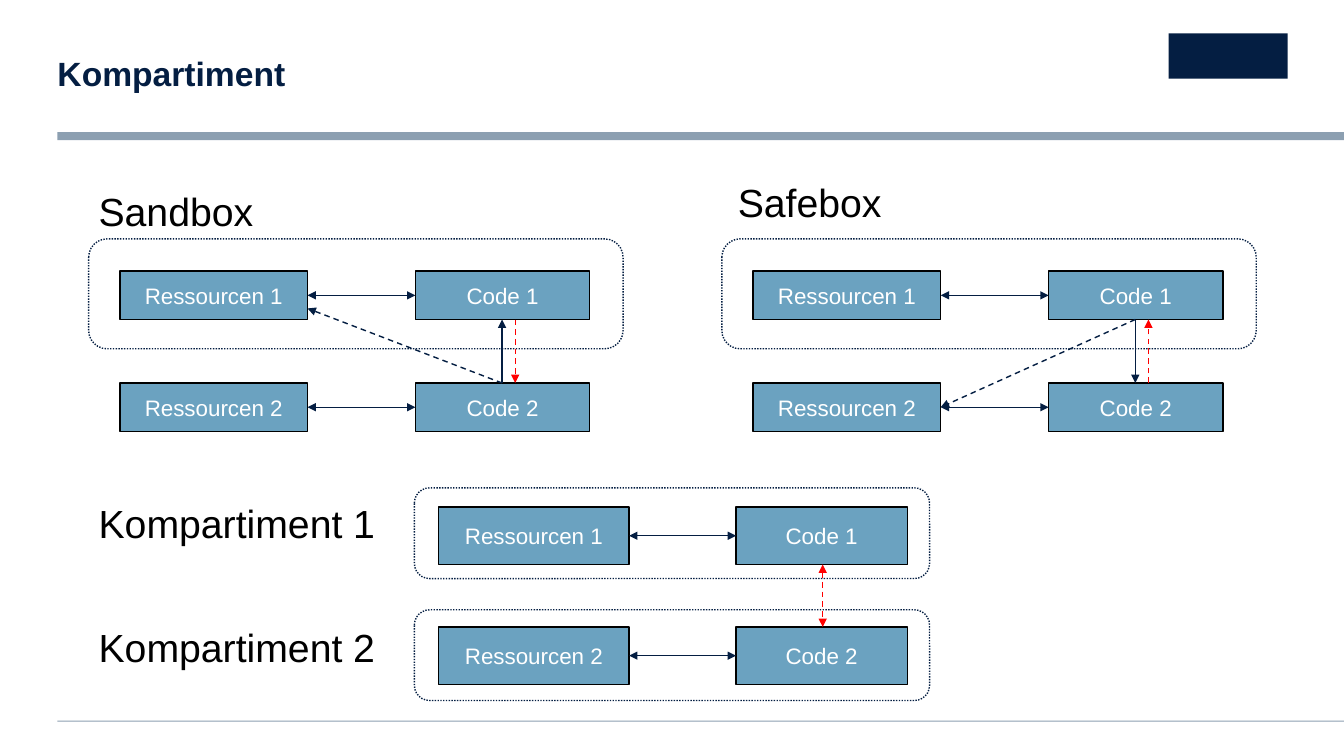
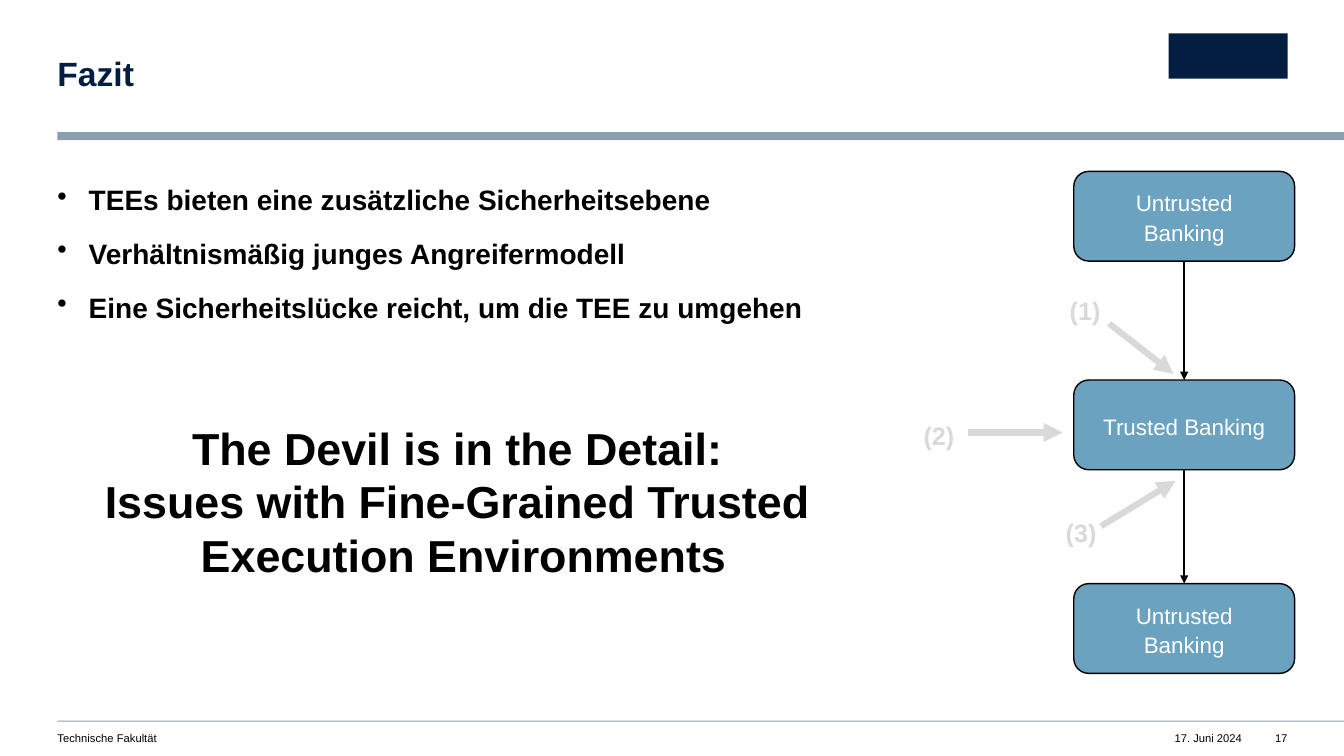
import pptx
import pptx.util
import pptx.dml.color
import pptx.enum.dml
import pptx.enum.shapes
import pptx.enum.text
import pptx.oxml
import pptx.oxml.ns

Inches, Pt = pptx.util.Inches, pptx.util.Pt
SHAPE = pptx.enum.shapes.MSO_SHAPE
ALIGN = pptx.enum.text.PP_ALIGN
ANCHOR = pptx.enum.text.MSO_ANCHOR
DASH = pptx.enum.dml.MSO_LINE

FONT = "Arial"
COLORS = {
    "navy": "041E42",
    "band": "8C9FB1",
    "box": "6BA2C0",
    "attack": "D9D9D9",
    "red": "FF0000",
    "black": "000000",
    "white": "FFFFFF",
}
MARGIN = 0.57
SLIDE_W, SLIDE_H = 13.33, 7.5


def rgb(name):
    return pptx.dml.color.RGBColor.from_string(COLORS[name])


def add_xml(parent, tag, **attrs):
    el = pptx.oxml.parse_xml(f'<a:{tag} {pptx.oxml.ns.nsdecls("a")}/>')
    for key, value in attrs.items():
        el.set(key, value)
    parent.append(el)


def write(tf, *paragraphs, size=16, color="black", bold=False, align=ALIGN.LEFT,
          anchor=ANCHOR.TOP, inset=None, spacing=None, before=0, after=0, bullet=None):
    """Fill a text frame; inset is one length or (left, top, right, bottom)."""
    tf.word_wrap = True
    tf.auto_size = pptx.enum.text.MSO_AUTO_SIZE.NONE
    tf.vertical_anchor = anchor
    if inset is not None:
        sides = inset if isinstance(inset, tuple) else (inset,) * 4
        (tf.margin_left, tf.margin_top,
         tf.margin_right, tf.margin_bottom) = map(Inches, sides)
    for i, text in enumerate(paragraphs):
        p = tf.add_paragraph() if i else tf.paragraphs[0]
        p.text = text
        p.alignment = align
        p.space_before, p.space_after = Pt(before), Pt(after)
        if spacing:
            p.line_spacing = spacing
        if bullet:
            pPr = p._p.get_or_add_pPr()
            indent = Inches(0.31)
            pPr.set("marL", str(indent))
            pPr.set("indent", str(-indent))
            add_xml(pPr, "buChar", char=bullet)
        for r in p.runs:
            r.font.name, r.font.size, r.font.bold = FONT, Pt(size), bold
            r.font.color.rgb = rgb(color)


def add_text(slide, at, *paragraphs, **fmt):
    tb = slide.shapes.add_textbox(*map(Inches, at))
    write(tb.text_frame, *paragraphs, **fmt)


def add_shape(slide, kind, at, fill=None, line=None, dash=None):
    sp = slide.shapes.add_shape(kind, *map(Inches, at))
    sp.shadow.inherit = False
    if fill:
        sp.fill.solid()
        sp.fill.fore_color.rgb = rgb(fill)
    else:
        sp.fill.background()
    if line:
        sp.line.color.rgb = rgb(line)
        sp.line.width = Pt(1)
        if dash:
            sp.line.dash_style = dash
    else:
        sp.line.fill.background()
    return sp


def add_box(slide, at, text, kind=SHAPE.RECTANGLE, **fmt):
    sp = add_shape(slide, kind, at, fill="box", line="black")
    write(sp.text_frame, text, color="white", align=ALIGN.CENTER,
          anchor=ANCHOR.MIDDLE, **fmt)


def add_boundary(slide, at):
    add_shape(slide, SHAPE.ROUNDED_RECTANGLE, at, line="navy", dash=DASH.ROUND_DOT)


def add_arrow(slide, start, end, color="navy", width=1, dashed=False, both=False):
    cx = slide.shapes.add_connector(pptx.enum.shapes.MSO_CONNECTOR.STRAIGHT,
                                    *map(Inches, (*start, *end)))
    cx.line.color.rgb = rgb(color)
    cx.line.width = Pt(width)
    if dashed:
        cx.line.dash_style = DASH.DASH
    ln = cx.line._get_or_add_ln()
    if both:
        add_xml(ln, "headEnd", type="triangle")
    add_xml(ln, "tailEnd", type="triangle")
    add_xml(cx._element.spPr, "effectLst")


def add_slide(prs, title):
    slide = prs.slides.add_slide(prs.slide_layouts[5])
    for top, height in ((1.31, 0.08), (7.15, 0.01)):
        add_shape(slide, SHAPE.RECTANGLE, (MARGIN, top, SLIDE_W - MARGIN, height), "band")
    add_shape(slide, SHAPE.RECTANGLE, (11.59, 0.33, 1.18, 0.45), "navy")
    ph = slide.shapes.title
    ph.left, ph.top, ph.width, ph.height = map(Inches, (MARGIN, 0.57, 7.49, 0.36))
    write(ph.text_frame, title, size=24, color="navy", bold=True, inset=0, spacing=0.9)
    return slide


def add_footer(slide, faculty, date, number):
    for left, width, text, align in ((MARGIN, 5.98, faculty, ALIGN.LEFT),
                                     (11.32, 1, date, ALIGN.RIGHT),
                                     (12.37, 0.4, number, ALIGN.RIGHT)):
        add_text(slide, (left, 7.26, width, 0.13), text, size=8, align=align, inset=0)


def add_pairs(slide, res_x, res_w, code_x, code_w, tops, height):
    """Draw one row per top: a resource box linked with its code box."""
    for n, top in enumerate(tops, 1):
        add_box(slide, (res_x, top, res_w, height), f"Ressourcen {n}")
        add_box(slide, (code_x, top, code_w, height), f"Code {n}")
        mid = top + height / 2
        add_arrow(slide, (res_x + res_w, mid), (code_x, mid), both=True)


def add_box_model(slide, dx):
    """Draw two pairs, the upper one inside a boundary, shifted right by dx."""
    add_pairs(slide, 1.19 + dx, 1.86, 4.12 + dx, 1.73, (2.69, 3.8), 0.48)
    add_boundary(slide, (0.88 + dx, 2.37, 5.3, 1.09))


def build_compartments(prs):
    slide = add_slide(prs, "Kompartiment")
    upper, lower = 3.17, 3.8
    call_x, return_x, res_right = 4.98, 5.11, 3.05
    dx = 6.28

    add_box_model(slide, 0)
    add_arrow(slide, (call_x, lower), (call_x, upper))
    add_arrow(slide, (call_x, lower), (res_right, 3.06), dashed=True)
    add_arrow(slide, (return_x, upper), (return_x, lower), "red", dashed=True)

    add_box_model(slide, dx)
    add_arrow(slide, (call_x + dx, upper), (call_x + dx, lower))
    add_arrow(slide, (call_x + dx, upper), (res_right + dx, 4.04), dashed=True)
    add_arrow(slide, (return_x + dx, lower), (return_x + dx, upper), "red", dashed=True)

    add_pairs(slide, 4.35, 1.89, 7.3, 1.7, (5.03, 6.22), 0.57)
    for top in (4.84, 6.05):
        add_boundary(slide, (4.11, top, 5.11, 0.9))
    add_arrow(slide, (8.16, 5.6), (8.16, 6.22), "red", dashed=True, both=True)

    add_text(slide, (0.88, 1.76, 5.43, 0.62), "Sandbox", size=28, spacing=1.1, after=12)
    for at, label in (((7.22, 1.77, 5.43, 0.62), "Safebox"),
                      ((0.88, 4.96, 3.05, 0.62), "Kompartiment 1"),
                      ((0.88, 6.19, 3.05, 0.62), "Kompartiment 2")):
        add_text(slide, at, label, size=28, spacing=0.9, before=10)


def build_conclusion(prs):
    slide = add_slide(prs, "Fazit")
    add_footer(slide, "Technische Fakultät", "17. Juni 2024", "17")
    body = {"spacing": 1.1, "after": 12}
    add_text(slide, (MARGIN, 1.78, 8.51, 2),
             "TEEs bieten eine zusätzliche Sicherheitsebene",
             "Verhältnismäßig junges Angreifermodell",
             "Eine Sicherheitslücke reicht, um die TEE zu umgehen",
             size=20, bold=True, inset=(0, 0, 0.39, 0), bullet="•", **body)
    add_text(slide, (0.55, 4.12, 8.1, 1.72),
             "The Devil is in the Detail: \nIssues with Fine-Grained Trusted \n"
             "Execution Environments", size=32, bold=True, align=ALIGN.CENTER)

    left, width, height = 10.65, 2.19, 0.89
    tops = (1.7, 3.77, 5.79)
    for top, label in zip(tops, ("Untrusted Banking", "Trusted Banking",
                                 "Untrusted Banking")):
        add_box(slide, (left, top, width, height), label,
                SHAPE.ROUNDED_RECTANGLE, inset=0.2, **body)
    mid = left + width / 2
    for top, following in zip(tops, tops[1:]):
        add_arrow(slide, (mid, top + height), (mid, following), "black")

    attacks = (((11, 3.21), (11.64, 3.71), (10.61, 2.9)),
               ((9.6, 4.29), (10.54, 4.29), (9.16, 4.14)),
               ((10.92, 5.22), (11.66, 4.77), (10.57, 5.1)))
    for n, (start, end, label_at) in enumerate(attacks, 1):
        add_arrow(slide, start, end, "attack", width=4.5)
        add_text(slide, (*label_at, 0.44, 0.31), f"({n})", size=18, color="attack",
                 bold=True, inset=0, **body)


def main():
    prs = pptx.Presentation()
    prs.slide_width, prs.slide_height = Inches(SLIDE_W), Inches(SLIDE_H)
    build_compartments(prs)
    build_conclusion(prs)
    prs.save("out.pptx")


if __name__ == "__main__":
    main()
